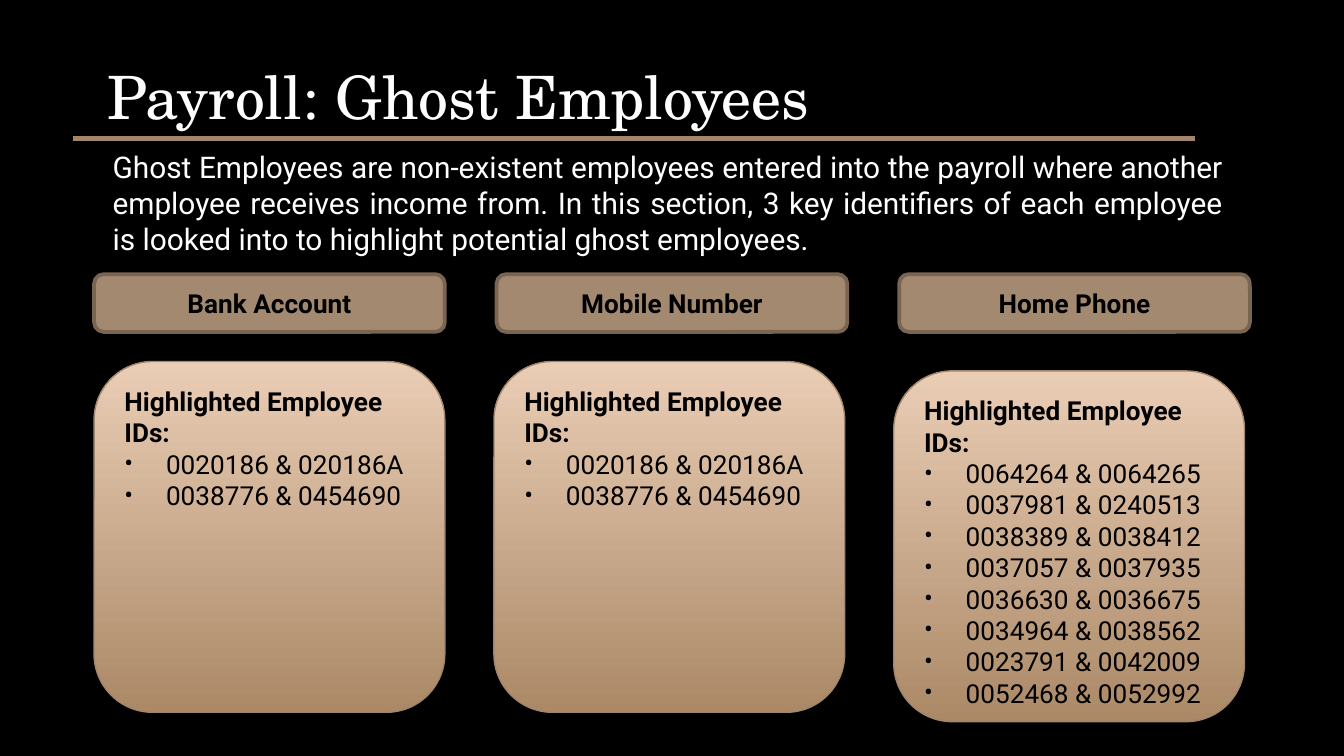
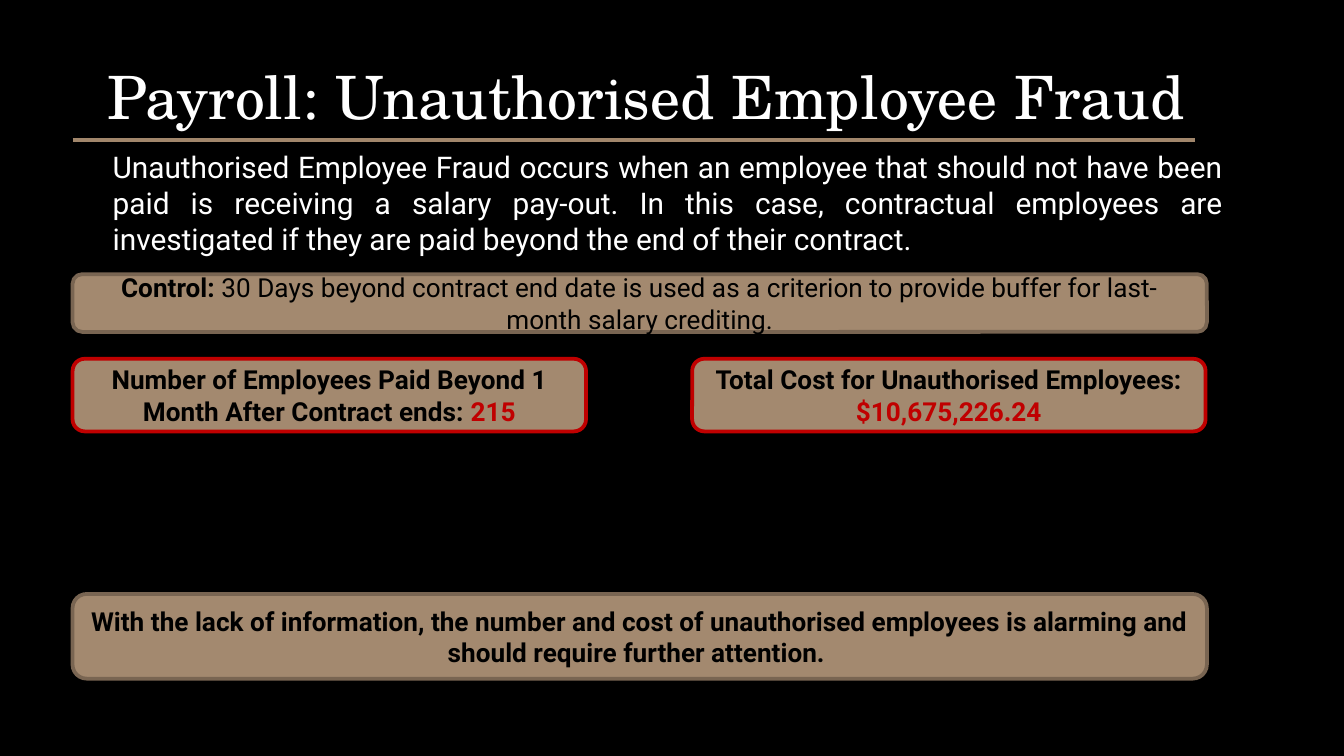
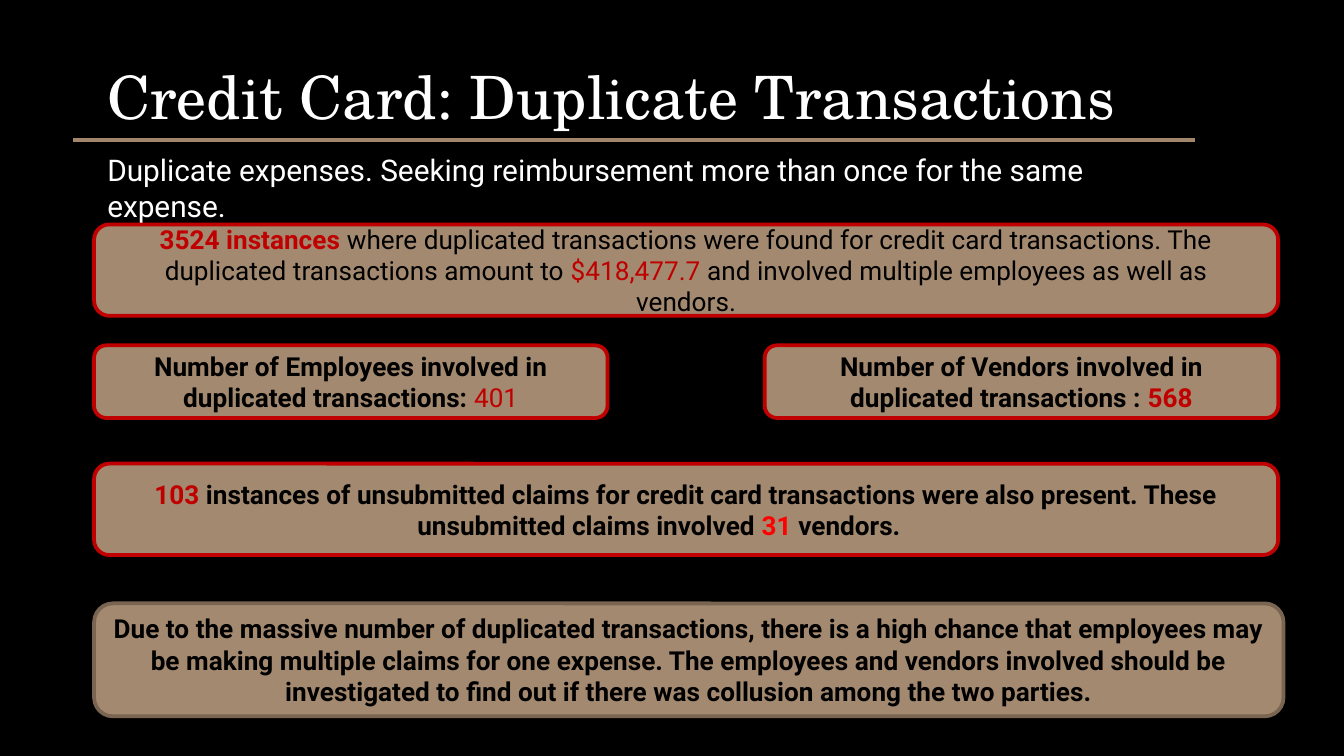
from dataclasses import dataclass

from lxml.etree import SubElement
from pptx import Presentation
from pptx.dml.color import RGBColor
from pptx.enum.shapes import MSO_CONNECTOR as Link, MSO_SHAPE as Shape
from pptx.enum.text import MSO_ANCHOR as Anchor, PP_ALIGN as Align
from pptx.oxml.ns import qn
from pptx.util import Inches, Pt


@dataclass(frozen=True)
class Theme:
    back: str = "000000"
    light: str = "FFFFFF"
    dark: str = "000000"
    red: str = "C00000"
    bright: str = "FF0000"
    fill: str = "A3896F"
    edge: str = "796552"
    rule: str = "A1866B"
    low: str = "AB8967"
    high: str = "EACDB5"
    serif: str = "TeX Gyre Schola"
    sans: str = "Roboto"
    title: int = 32
    lead: int = 16
    body: int = 14


T = Theme()

# Run styles: (colour, bold)
LIGHT = (T.light, False)
PLAIN = (T.dark, False)
BOLD = (T.dark, True)
RED = (T.red, False)
ALERT = (T.red, True)
BRIGHT = (T.bright, True)

GHOST = {
    "title": "Payroll: Ghost Employees",
    "lead": "Ghost Employees are non-existent employees entered into the payroll where another "
            "employee receives income from. In this section, 3 key identifiers of each employee "
            "is looked into to highlight potential ghost employees. ",
    "label": "Highlighted Employee IDs:",
    # heading, top of card, matching IDs
    "cards": [
        ("Bank Account", 2.69, ["0020186 & 020186A", "0038776 & 0454690"]),
        ("Mobile Number", 2.69, ["0020186 & 020186A", "0038776 & 0454690"]),
        ("Home Phone", 2.76, [
            "0064264 & 0064265", "0037981 & 0240513", "0038389 & 0038412",
            "0037057 & 0037935", "0036630 & 0036675", "0034964 & 0038562",
            "0023791 & 0042009", "0052468 & 0052992"]),
    ],
}

# Boxes: (left, top, width, height), edge colour, runs
FRAUD = {
    "title": "Payroll: Unauthorised Employee Fraud",
    "lead": "Unauthorised Employee Fraud occurs when an employee that should not have been paid "
            "is receiving a salary pay-out. In this case, contractual employees are investigated "
            "if they are paid beyond the end of their contract. ",
    "boxes": [
        ((0.54, 2.04, 8.44, 0.43), T.edge, [
            ("Control: ", BOLD),
            ("30 Days beyond contract end date is used as a criterion to provide buffer for "
             "last-month salary crediting.", PLAIN)]),
        ((0.54, 2.67, 3.82, 0.54), T.red, [
            ("Number of Employees Paid Beyond 1 Month After Contract ends: ", BOLD),
            ("215", ALERT)]),
        ((5.15, 2.67, 3.82, 0.54), T.red, [
            ("Total Cost for Unauthorised Employees: ", BOLD),
            ("$10,675,226.24", ALERT)]),
        ((0.54, 4.42, 8.44, 0.63), T.edge, [
            ("With the lack of information, the number and cost of unauthorised employees is "
             "alarming and should require further attention. ", BOLD)]),
    ],
}

CREDIT = {
    "title": "Credit Card: Duplicate Transactions",
    "lead": "Duplicate expenses. Seeking reimbursement more than once for the same expense.",
    "boxes": [
        ((0.7, 1.67, 8.81, 0.68), T.red, [
            ("3524 instances", ALERT),
            (" where duplicated transactions were found for credit card transactions. The "
             "duplicated transactions amount to ", PLAIN),
            ("$418,477.7 ", RED),
            ("and involved multiple employees as well as vendors.", PLAIN)]),
        ((0.7, 2.57, 3.82, 0.54), T.red, [
            ("Number of Employees involved in duplicated transactions: ", BOLD),
            ("401", RED)]),
        ((5.69, 2.57, 3.82, 0.54), T.red, [
            ("Number of Vendors involved in duplicated transactions : ", BOLD),
            ("568", ALERT)]),
        ((0.7, 4.49, 8.85, 0.84), T.edge, [
            ("Due to the massive number of duplicated transactions, there is a high chance that "
             "employees may be making multiple claims for one expense. The employees and vendors "
             "involved should be investigated to find out if there was collusion among the two "
             "parties.", BOLD)]),
        ((0.7, 3.45, 8.81, 0.68), T.red, [
            ("103 ", ALERT),
            ("instances of unsubmitted claims for credit card transactions were also present. "
             "These unsubmitted claims involved", BOLD),
            (" 31 ", BRIGHT),
            ("vendors.\t", BOLD)]),
    ],
}


def rgb(code):
    return RGBColor.from_string(code)


def place(at):
    return [Inches(n) for n in at]


def write(para, runs, size=T.body, face=T.sans, align=Align.LEFT):
    para.alignment = align
    para.font.size, para.font.name = Pt(size), face
    for text, (color, bold) in runs:
        run = para.add_run()
        run.text = text
        run.font.bold = bold
        run.font.color.rgb = rgb(color)


def indent(para, left, first=0.0, mark=None):
    props = para._p.get_or_add_pPr()
    props.set("marL", str(Inches(left)))
    props.set("indent", str(Inches(first)))
    if mark:
        SubElement(props, qn("a:buFont")).set("typeface", T.sans)
        SubElement(props, qn("a:buChar")).set("char", mark)


def label(slide, at, inset=0.05, anchor=Anchor.TOP):
    """Add a wrapping text box and return its first paragraph."""
    frame = slide.shapes.add_textbox(*place(at)).text_frame
    frame.word_wrap = True
    frame.vertical_anchor = anchor
    frame.margin_top = frame.margin_bottom = Inches(inset)
    return frame.paragraphs[0]


def panel(slide, at, edge, width, anchor):
    shape = slide.shapes.add_shape(Shape.ROUNDED_RECTANGLE, *place(at))
    shape.shadow.inherit = False
    shape.line.color.rgb = rgb(edge)
    shape.line.width = Pt(width)
    shape.text_frame.word_wrap = True
    shape.text_frame.vertical_anchor = anchor
    return shape


def box(slide, at, edge, runs):
    shape = panel(slide, at, edge, 2, Anchor.MIDDLE)
    shape.fill.solid()
    shape.fill.fore_color.rgb = rgb(T.fill)
    write(shape.text_frame.paragraphs[0], runs, align=Align.CENTER)


def card(slide, at, head, items):
    shape = panel(slide, at, T.rule, 0.75, Anchor.TOP)
    shape.fill.gradient()
    shape.fill.gradient_angle = 90
    for stop, color in zip(shape.fill.gradient_stops, (T.low, T.high)):
        stop.color.rgb = rgb(color)
    frame = shape.text_frame
    write(frame.paragraphs[0], [(head, BOLD)])
    for item in items:
        para = frame.add_paragraph()
        indent(para, 0.31, -0.31, "•")
        write(para, [(item, PLAIN)])


def start(deck, title, level=1.04):
    """Add a slide with the shared background, title and rule at the given height."""
    slide = deck.slides.add_slide(deck.slide_layouts[6])
    slide.background.fill.solid()
    slide.background.fill.fore_color.rgb = rgb(T.back)
    para = label(slide, (0.7, 0.24, 8.27, 0.84), 0.1, Anchor.BOTTOM)
    write(para, [(title, LIGHT)], T.title, T.serif)
    ends = place((0.54, level, 8.89, level))
    rule = slide.shapes.add_connector(Link.STRAIGHT, *ends)
    rule.line.color.rgb = rgb(T.rule)
    rule.line.width = Pt(2.25)
    SubElement(rule._element.spPr, qn("a:effectLst"))
    return slide


def intro(slide, text):
    para = label(slide, (0.24, 1.01, 8.96, 0.91), 0.1)
    indent(para, 0.5)
    write(para, [(text, LIGHT)], T.lead, align=Align.JUSTIFY)


def boxes(slide, rows):
    for at, edge, runs in rows:
        box(slide, at, edge, runs)


def ghost(deck):
    slide = start(deck, GHOST["title"], 1.03)
    intro(slide, GHOST["lead"])
    left, side = 0.7, 2.61
    last = len(GHOST["cards"]) - 1
    for i, (head, _, _) in enumerate(GHOST["cards"]):
        box(slide, (left + 5.99 * i / last, 2.04, side, 0.43), T.edge, [(head, BOLD)])
    for i, (_, top, items) in enumerate(GHOST["cards"]):
        card(slide, (left + 5.95 * i / last, top, side, side), GHOST["label"], items)


def fraud(deck):
    slide = start(deck, FRAUD["title"])
    intro(slide, FRAUD["lead"])
    boxes(slide, FRAUD["boxes"])


def credit(deck):
    slide = start(deck, CREDIT["title"])
    para = label(slide, (0.7, 1.08, 8.36, 0.37))
    write(para, [(CREDIT["lead"], LIGHT)], T.lead)
    boxes(slide, CREDIT["boxes"])


def main():
    deck = Presentation()
    deck.slide_width = Inches(10)
    deck.slide_height = deck.slide_width * 9 // 16
    for build in (ghost, fraud, credit):
        build(deck)
    deck.save("out.pptx")


if __name__ == "__main__":
    main()
